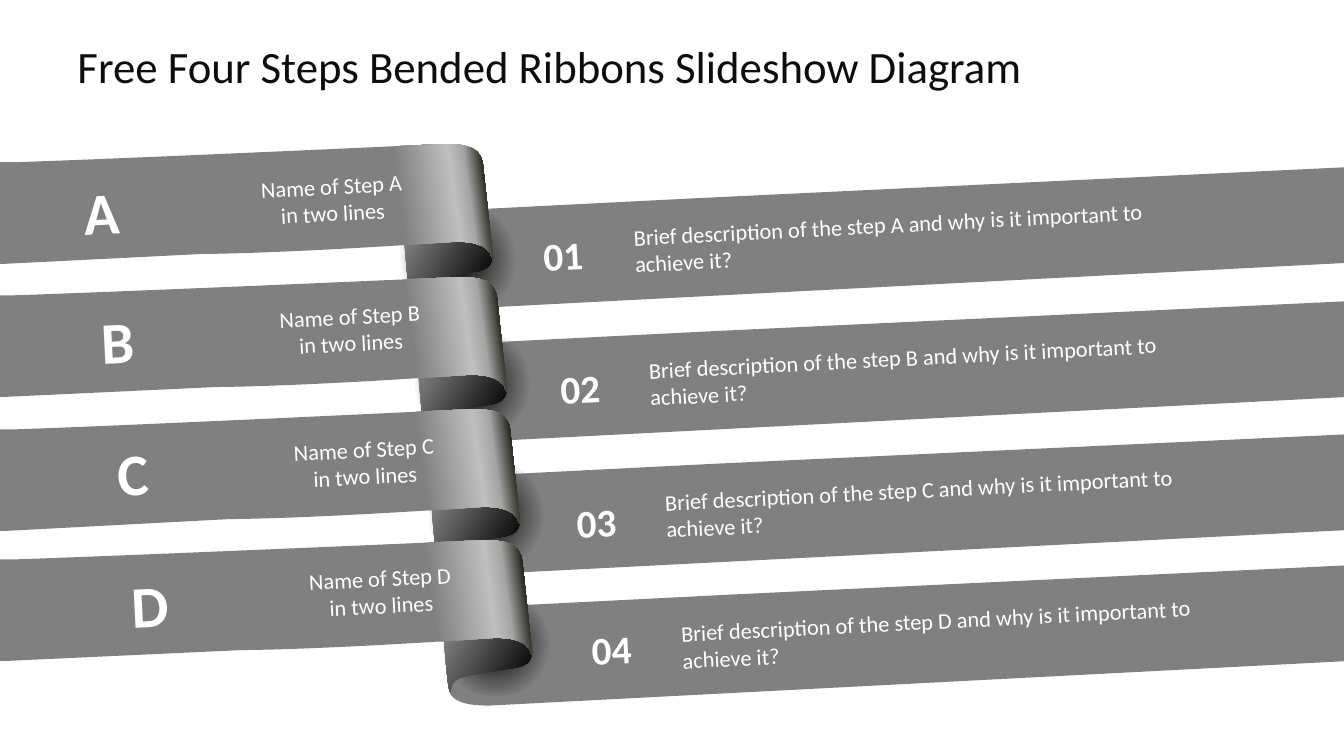
from collections import namedtuple

from pptx import Presentation
from pptx.dml.color import RGBColor
from pptx.enum.shapes import MSO_SHAPE
from pptx.enum.text import MSO_ANCHOR, MSO_AUTO_SIZE, PP_ALIGN
from pptx.oxml import parse_xml
from pptx.oxml.ns import nsdecls, qn
from pptx.util import Inches, Pt

WHITE = RGBColor(0xFF, 0xFF, 0xFF)
INK = RGBColor(0x0D, 0x0D, 0x0D)
BLACK = RGBColor(0, 0, 0)
GREY = RGBColor(0x80, 0x80, 0x80)
SILVER = RGBColor(0xBF, 0xBF, 0xBF)
STEEL = RGBColor(0xA6, 0xA6, 0xA6)
OLIVE = RGBColor(0x1B, 0x1A, 0x10)
FONT = "Calibri"
SLIDE_W, SLIDE_H = 13.33, 7.5
TILT = 357

Step = namedtuple("Step", "letter number fold left_edge right_edge shadow corners")
Column = namedtuple("Column", "width height size bold align")

STEPS = [
    Step("A", "01", (4.89, 1.43), 1.61, 1.66, (3.76, 2.07, 1.56),
         [(0.62, 1.69), (2.33, 1.66), (5.2, 2.25), (6.19, 2.03)]),
    Step("B", "02", (5.03, 2.75), 2.93, 2.99, (3.9, 3.3, 1.56),
         [(0.78, 2.98), (2.51, 2.95), (5.37, 3.56), (6.34, 3.35)]),
    Step("C", "03", (5.16, 4.06), 4.26, 4.31, (4.04, 4.6, 1.56),
         [(0.93, 4.29), (2.65, 4.27), (5.53, 4.89), (6.5, 4.66)]),
    Step("D", "04", (5.28, 5.36), 5.55, 5.61, (4.22, 5.89, 1.4),
         [(1.1, 5.59), (2.81, 5.55), (5.68, 6.15), (6.66, 5.96)]),
]
COLUMNS = [
    Column(0.77, 0.81, 42, True, PP_ALIGN.CENTER),
    Column(1.93, 0.64, 16, False, PP_ALIGN.CENTER),
    Column(0.77, 0.57, 28, True, PP_ALIGN.CENTER),
    Column(5.55, 0.64, 16, False, PP_ALIGN.LEFT),
]

RIBBON_GRADIENT = [(80, GREY, 100), (91, SILVER, 100), (94, STEEL, 100),
                   (98, OLIVE, 100), (100, GREY, 100)]
CURL_GRADIENT = [(0, GREY, 100), (85, INK, 100)]
SHADOW_GRADIENT = [(0, BLACK, 100), (62, BLACK, 0)]
ROUND = ('<a:path path="circle"><a:fillToRect l="50000" t="50000" r="50000" '
         'b="50000"/></a:path>')


def linear(angle):
    """Return the XML of a linear gradient direction in degrees."""
    return f'<a:lin ang="{angle * 60000}" scaled="0"/>'


def paint_gradient(shape, stops, direction):
    """Fill a shape with the given gradient stops and direction."""
    stop_xml = "".join(
        f'<a:gs pos="{pos * 1000}"><a:srgbClr val="{color}">'
        f'<a:alpha val="{alpha * 1000}"/></a:srgbClr></a:gs>'
        for pos, color, alpha in stops)
    shape.fill.gradient()
    properties = shape._element.spPr
    properties.replace(properties.find(qn("a:gradFill")), parse_xml(
        f'<a:gradFill {nsdecls("a")} rotWithShape="1"><a:gsLst>{stop_xml}</a:gsLst>'
        f'{direction}</a:gradFill>'))


def bend_segments(shape, outline):
    """Join the three segments of each six-number part into one cubic curve."""
    segments = iter(list(shape._element.spPr.iter(qn("a:lnTo"))))
    for part in outline[1:]:
        first = next(segments)
        if len(part) == 2:
            continue
        curve = parse_xml(f'<a:cubicBezTo {nsdecls("a")}/>')
        first.addprevious(curve)
        for segment in (first, next(segments), next(segments)):
            curve.append(segment[0])
            segment.getparent().remove(segment)


def add_outline(slide, fold, outline):
    """Draw a closed outline of points and curves relative to the fold corner."""
    points = [(Inches(fold[0] + part[n]), Inches(fold[1] + part[n + 1]))
              for part in outline for n in range(0, len(part), 2)]
    builder = slide.shapes.build_freeform(*points[0], scale=1.0)
    builder.add_line_segments(points[1:], close=True)
    shape = builder.convert_to_shape()
    bend_segments(shape, outline)
    shape.shadow.inherit = False
    shape.line.fill.background()
    return shape


def add_band(slide, fold, right_edge):
    """Draw the description band from the fold to the right slide edge."""
    right, top = SLIDE_W - fold[0], right_edge - fold[1]
    band = add_outline(slide, fold, [
        (right, top), (right, top + 0.95), (-0.43, 1.64),
        (-0.66, 1.64, -0.76, 1.6, -0.81, 1.53), (-0.82, 1.5), (-0.81, 1.46),
        (-0.79, 1.36, -0.69, 1.36, -0.63, 1.34), (-0.22, 1.27),
        (-0.14, 1.26, -0.09, 1.23, -0.06, 1.21), (-0.03, 1.13),
        (-0.06, 0.64), (-0.03, 0.64), (1.95, 0.54)])
    band.fill.solid()
    band.fill.fore_color.rgb = GREY


def add_shadow(slide, left, top, width):
    """Draw the soft round shadow cast by the fold."""
    shadow = slide.shapes.add_shape(
        MSO_SHAPE.OVAL, Inches(left), Inches(top), Inches(width), Inches(1.01))
    shadow.shadow.inherit = False
    shadow.line.fill.background()
    paint_gradient(shadow, SHADOW_GRADIENT, ROUND)


def add_curl(slide, fold):
    """Draw the dark inner side of the bent ribbon."""
    curl = add_outline(slide, fold, [
        (-0.39, 0.96), (-0.31, 0.96, -0.24, 0.96, -0.15, 0.98),
        (-0.02, 1.02, 0, 1.1, -0.01, 1.15), (-0.02, 1.19, -0.04, 1.25, -0.2, 1.27),
        (-0.62, 1.34), (-0.69, 1.36, -0.81, 1.36, -0.81, 1.51),
        (-0.84, 1.51, -0.86, 1.16, -0.88, 0.99),
        (-0.87, 0.98, -0.55, 0.97, -0.39, 0.96)])
    paint_gradient(curl, CURL_GRADIENT, linear(30))


def add_ribbon(slide, fold, left_edge):
    """Draw the front ribbon from the left slide edge to the fold."""
    left, top = -fold[0], left_edge - fold[1]
    ribbon = add_outline(slide, fold, [
        (-0.51, 0), (-0.2, -0.01, -0.12, 0.07, -0.1, 0.2), (0, 1.13),
        (-0.01, 1.13), (-0.03, 1.08), (-0.07, 1.01, -0.18, 0.96, -0.4, 0.97),
        (-0.41, 0.97, -1.92, 1.08, -2.89, 1.09), (left, top + 1.01), (left, top),
        (left + 0.14, top), (left + 1.35, top - 0.04, -0.52, 0, -0.51, 0)])
    paint_gradient(ribbon, RIBBON_GRADIENT, linear(352))


def add_text(slide, box, lines, size, color, bold=False, align=PP_ALIGN.LEFT):
    """Add a wrapped text box with one paragraph per line."""
    label = slide.shapes.add_textbox(*(Inches(length) for length in box))
    frame = label.text_frame
    frame.word_wrap = True
    for index, line in enumerate(lines):
        paragraph = frame.paragraphs[0] if index == 0 else frame.add_paragraph()
        paragraph.alignment = align
        run = paragraph.add_run()
        run.text = line
        run.font.name = FONT
        run.font.size = Pt(size)
        run.font.bold = bold
        run.font.color.rgb = color
    return label


def add_step(slide, step):
    """Draw one bent ribbon with its four tilted labels."""
    add_band(slide, step.fold, step.right_edge)
    add_shadow(slide, *step.shadow)
    add_curl(slide, step.fold)
    add_ribbon(slide, step.fold, step.left_edge)
    wording = [
        [step.letter],
        [f"Name of Step {step.letter}", "in two lines"],
        [step.number],
        [f"Brief description of the step {step.letter} and why is it important to achieve it?"],
    ]
    for column, corner, lines in zip(COLUMNS, step.corners, wording):
        box = (*corner, column.width, column.height)
        label = add_text(slide, box, lines, column.size, WHITE, column.bold, column.align)
        label.rotation = TILT
        label.text_frame.auto_size = MSO_AUTO_SIZE.SHAPE_TO_FIT_TEXT


def add_title(slide, box):
    """Add the slide title, centred vertically in its box."""
    title = add_text(slide, box, ["Free Four Steps Bended Ribbons Slideshow Diagram"], 32, INK)
    title.text_frame.vertical_anchor = MSO_ANCHOR.MIDDLE
    title.text_frame.paragraphs[0].line_spacing = 0.9


def main():
    """Build the slide and save it."""
    deck = Presentation()
    deck.slide_width, deck.slide_height = Inches(SLIDE_W), Inches(SLIDE_H)
    slide = deck.slides.add_slide(deck.slide_layouts[6])
    for step in STEPS:
        add_step(slide, step)
    add_title(slide, (0.67, 0.29, 12, 0.78))
    deck.save("out.pptx")


if __name__ == "__main__":
    main()
